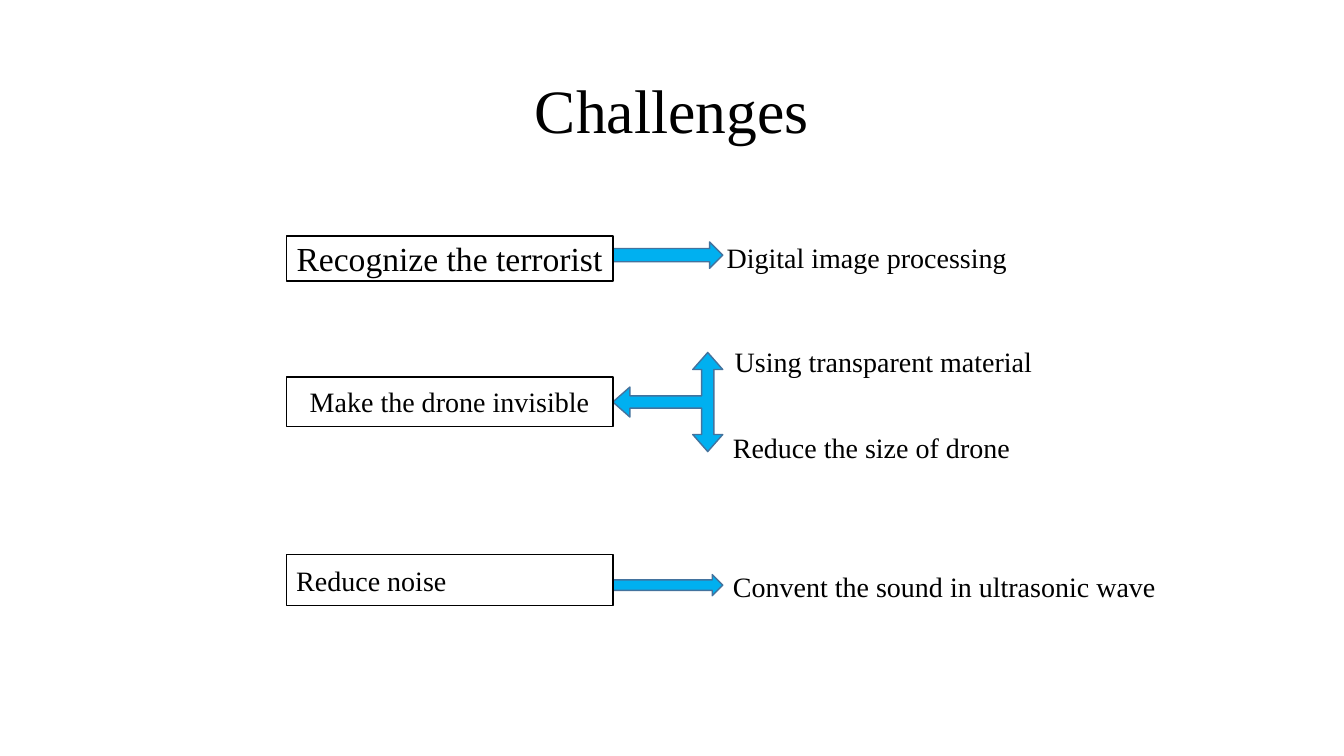
"""Build the Challenges slide: three problems, each with arrows to its solutions."""
from dataclasses import dataclass

from pptx import Presentation
from pptx.dml.color import RGBColor
from pptx.enum.shapes import MSO_SHAPE
from pptx.enum.text import MSO_ANCHOR, MSO_AUTO_SIZE, PP_ALIGN
from pptx.util import Pt

FONT = "Times New Roman"
BLACK, WHITE, SKY, STEEL = "000000", "FFFFFF", "00B0F0", "43739E"
BOX_LEFT, BOX_WIDTH = 204.5, 233.3
BOX_RIGHT = BOX_LEFT + BOX_WIDTH
LABEL_HEIGHT = 31.5


@dataclass(frozen=True)
class Problem:
    text: str
    top: float
    height: float
    size: float = 20
    align: PP_ALIGN = PP_ALIGN.CENTER


@dataclass(frozen=True)
class Solution:
    text: str
    left: float
    top: float
    width: float


@dataclass(frozen=True)
class Arrow:
    kind: MSO_SHAPE
    left: float
    top: float
    width: float
    height: float
    rotation: float = 0
    adjustments: tuple[float, ...] = ()


ARROWS = [
    Arrow(MSO_SHAPE.RIGHT_ARROW, BOX_RIGHT, 172.8, 78.5, 18.9),
    Arrow(MSO_SHAPE.RIGHT_ARROW, BOX_RIGHT, 410.4, 78.5, 15.1),
    Arrow(MSO_SHAPE.LEFT_RIGHT_UP_ARROW, 441.6, 247.9, 70.8, 78.5, 270,
          (0.124, 0.151, 0.172)),
]
PROBLEMS = [
    Problem("Recognize the terrorist ", 168.5, 32.2, 24),
    Problem("Make the drone invisible", 269.2, 35.5),
    Problem("Reduce noise", 396, 36.6, align=PP_ALIGN.LEFT),
]
SOLUTIONS = [
    Solution("Digital image processing", 511.9, 168.5, 241.2),
    Solution("Using transparent material", 517.7, 242.2, 253.4),
    Solution("Reduce the size of drone", 516.4, 304.1, 247.7),
    Solution("Convent the sound in ultrasonic wave", 516.4, 403.4, 367.2),
]


def color(value: str) -> RGBColor:
    return RGBColor.from_string(value)


def write(tf, text: str, size: float, align: PP_ALIGN = PP_ALIGN.LEFT):
    tf.word_wrap = True
    p = tf.paragraphs[0]
    p.alignment = align
    r = p.add_run()
    r.text = text
    r.font.name = FONT
    r.font.size = Pt(size)
    r.font.color.rgb = color(BLACK)
    return p


def add_shape(s, kind: MSO_SHAPE, left: float, top: float, width: float,
              height: float, fill: str, line: str):
    sp = s.shapes.add_shape(kind, Pt(left), Pt(top), Pt(width), Pt(height))
    sp.shadow.inherit = False
    sp.fill.solid()
    sp.fill.fore_color.rgb = color(fill)
    sp.line.color.rgb = color(line)
    sp.line.width = Pt(1)
    return sp


def add_title(s, text: str) -> None:
    sp = s.shapes.title
    sp.left, sp.top, sp.width, sp.height = Pt(66), Pt(28.8), Pt(828), Pt(104.4)
    sp.text_frame.vertical_anchor = MSO_ANCHOR.MIDDLE
    p = write(sp.text_frame, text, 44, PP_ALIGN.CENTER)
    p.line_spacing = 0.9


def add_arrow(s, arrow: Arrow) -> None:
    sp = add_shape(s, arrow.kind, arrow.left, arrow.top, arrow.width,
                   arrow.height, SKY, STEEL)
    sp.rotation = arrow.rotation
    for i, value in enumerate(arrow.adjustments):
        sp.adjustments[i] = value


def add_problem(s, problem: Problem) -> None:
    sp = add_shape(s, MSO_SHAPE.RECTANGLE, BOX_LEFT, problem.top, BOX_WIDTH,
                   problem.height, WHITE, BLACK)
    sp.text_frame.vertical_anchor = MSO_ANCHOR.MIDDLE
    write(sp.text_frame, problem.text, problem.size, problem.align)


def add_solution(s, solution: Solution) -> None:
    sp = s.shapes.add_textbox(Pt(solution.left), Pt(solution.top),
                              Pt(solution.width), Pt(LABEL_HEIGHT))
    sp.text_frame.auto_size = MSO_AUTO_SIZE.SHAPE_TO_FIT_TEXT
    write(sp.text_frame, solution.text, 20)


def main() -> None:
    prs = Presentation()
    prs.slide_width, prs.slide_height = Pt(960), Pt(540)
    s = prs.slides.add_slide(prs.slide_layouts[5])
    add_title(s, "Challenges")
    for arrow in ARROWS:
        add_arrow(s, arrow)
    for problem in PROBLEMS:
        add_problem(s, problem)
    for solution in SOLUTIONS:
        add_solution(s, solution)
    prs.save("out.pptx")


if __name__ == "__main__":
    main()
